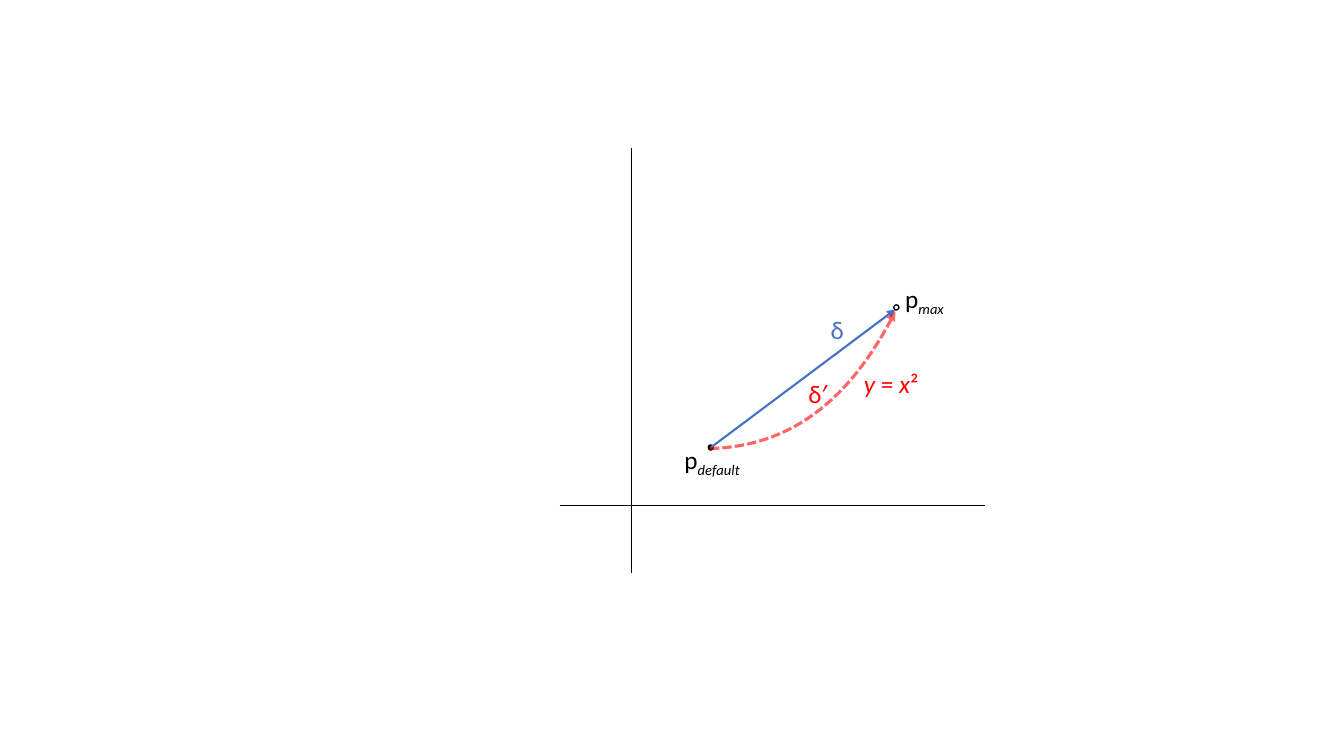
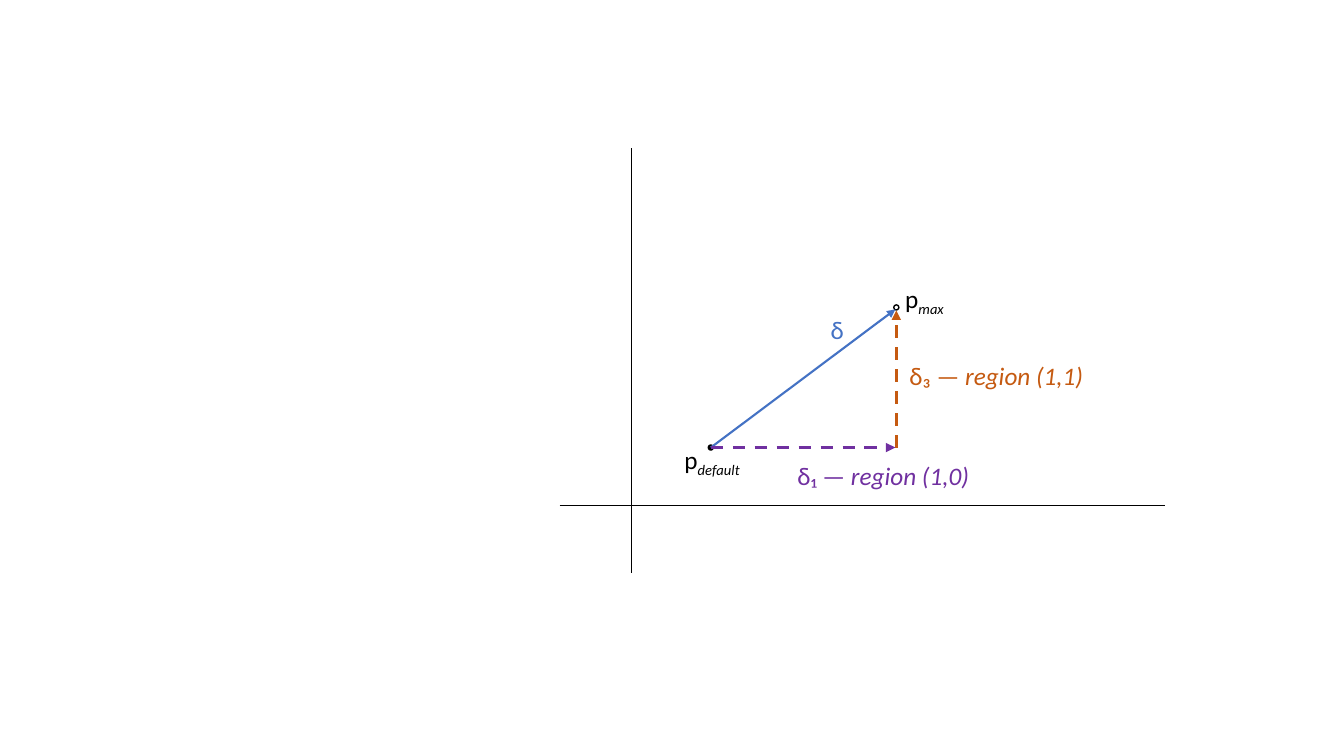
from pptx import Presentation
from pptx.dml.color import RGBColor
from pptx.enum.shapes import MSO_CONNECTOR as Link, MSO_SHAPE as Form
from pptx.enum.text import MSO_AUTO_SIZE as Fit
from pptx.oxml.ns import qn
from pptx.oxml.xmlchemy import OxmlElement as Node
from pptx.util import Inches, Pt

BLACK, BLUE, RED = "000000", "4472C4", "FF0000"
PURPLE, ORANGE = "7030A0", "C55A11"
FONT, SIZE, ROW = "Calibri", 18, 0.4
DOT = 0.05

# Plane, in inches
ORIGIN = (6.26, 5.01)
LEFT, TOP, BOTTOM = 5.55, 1.47, 5.68
START, GOAL = (7.05, 4.44), (8.89, 3.05)
TIP = (8.88, 3.07)
CORNER = (GOAL[0], START[1])
CURVE = [(7.04, 4.45), (7.89, 4.43), (8.48, 3.88), (8.88, 3.09)]

# Label: left, top, width, colour, runs of (text, style); i = italic, s = subscript
SHARED = [
    (8.14, 3.07, 0.33, BLUE, [("δ", "")]),
    (8.88, 2.76, 0.63, BLACK, [("p", ""), ("max", "is")]),
    (6.69, 4.36, 0.82, BLACK, [("p", ""), ("default", "is")]),
]
SLIDES = [
    {
        "right": 9.77,
        "curve": CURVE,
        "steps": [],
        "labels": [
            (7.92, 3.7, 0.39, RED, [("δ′", "")]),
            (8.47, 3.61, 0.76, RED,
             [("y ", "i"), ("= ", ""), ("x", "i"), ("²", "")]),
        ],
    },
    {
        "right": 11.55,
        "curve": None,
        "steps": [
            (START, (TIP[0], START[1]), PURPLE),
            (CORNER, (GOAL[0], 3.08), ORANGE),
        ],
        "labels": [
            (7.81, 4.52, 1.92, PURPLE, [("δ₁ — ", ""), ("region (1,0)", "i")]),
            (8.92, 3.53, 1.95, ORANGE, [("δ₃ — ", ""), ("region (1,1)", "i")]),
        ],
    },
]


def paint(hue):
    """Turn a hex string into a colour."""
    return RGBColor.from_string(hue)


def add(parent, tag, **attrs):
    """Append an XML child with attributes."""
    child = Node(tag)
    for key, value in attrs.items():
        child.set(key, value)
    parent.append(child)
    return child


def stroke(shape, hue, width, dash=None, arrow=False):
    """Style an outline, with an optional dash and arrowhead."""
    shape.line.color.rgb = paint(hue)
    shape.line.width = Pt(width)
    ln = shape._element.spPr.find(qn("a:ln"))
    if dash:
        add(ln, "a:prstDash", val=dash)
    if arrow:
        add(ln, "a:tailEnd", type="triangle")
    return ln


def line(slide, start, end, hue, width, dash=None, arrow=False):
    """Draw a straight line between two points."""
    ends = [Inches(v) for v in (*start, *end)]
    link = slide.shapes.add_connector(Link.STRAIGHT, *ends)
    stroke(link, hue, width, dash, arrow)
    add(link._element.spPr, "a:effectLst")


def dot(slide, center, filled):
    """Draw a small circle round a point."""
    x, y = (Inches(v - DOT / 2) for v in center)
    mark = slide.shapes.add_shape(Form.OVAL, x, y, Inches(DOT), Inches(DOT))
    mark.shadow.inherit = False
    if filled:
        mark.fill.solid()
        mark.fill.fore_color.rgb = paint(BLACK)
    else:
        mark.fill.background()
    stroke(mark, BLACK, 1)


def bend(slide, points, hue):
    """Draw a dashed cubic curve with an arrowhead."""
    spots = [(Inches(x), Inches(y)) for x, y in points]
    pen = slide.shapes.build_freeform(*spots[0])
    pen.add_line_segments(spots[1:], close=False)
    arc = pen.convert_to_shape()
    arc.shadow.inherit = False
    arc.fill.background()
    ln = stroke(arc, hue, 2.25, "sysDash", True)
    add(ln.find(".//" + qn("a:srgbClr")), "a:alpha", val="60000")
    track = arc._element.find(".//" + qn("a:path"))
    cubic = Node("a:cubicBezTo")
    for part in track.findall(qn("a:lnTo")):
        cubic.append(part[0])
        track.remove(part)
    track.append(cubic)


def label(slide, left, top, width, hue, runs):
    """Write one line of styled runs."""
    box = slide.shapes.add_textbox(*map(Inches, (left, top, width, ROW)))
    frame = box.text_frame
    frame.word_wrap = False
    frame.auto_size = Fit.SHAPE_TO_FIT_TEXT
    for text, style in runs:
        run = frame.paragraphs[0].add_run()
        run.text = text
        font = run.font
        font.name, font.size = FONT, Pt(SIZE)
        font.color.rgb = paint(hue)
        font.italic = "i" in style
        if "s" in style:
            run._r.get_or_add_rPr().set("baseline", "-25000")


def plot(slide, right, curve, steps, labels):
    """Draw the plane, the direct arrow and the slide's own route."""
    x, y = ORIGIN
    line(slide, (x, TOP), (x, BOTTOM), BLACK, 0.5)
    line(slide, (LEFT, y), (right, y), BLACK, 0.5)
    dot(slide, START, True)
    dot(slide, GOAL, False)
    line(slide, START, TIP, BLUE, 1.5, arrow=True)
    if curve:
        bend(slide, curve, RED)
    for start, end, hue in steps:
        line(slide, start, end, hue, 2.25, "dash", True)
    for item in SHARED + labels:
        label(slide, *item)


deck = Presentation()
deck.slide_width, deck.slide_height = Inches(13.33), Inches(7.5)
for page in SLIDES:
    plot(deck.slides.add_slide(deck.slide_layouts[6]), **page)
deck.save("out.pptx")
